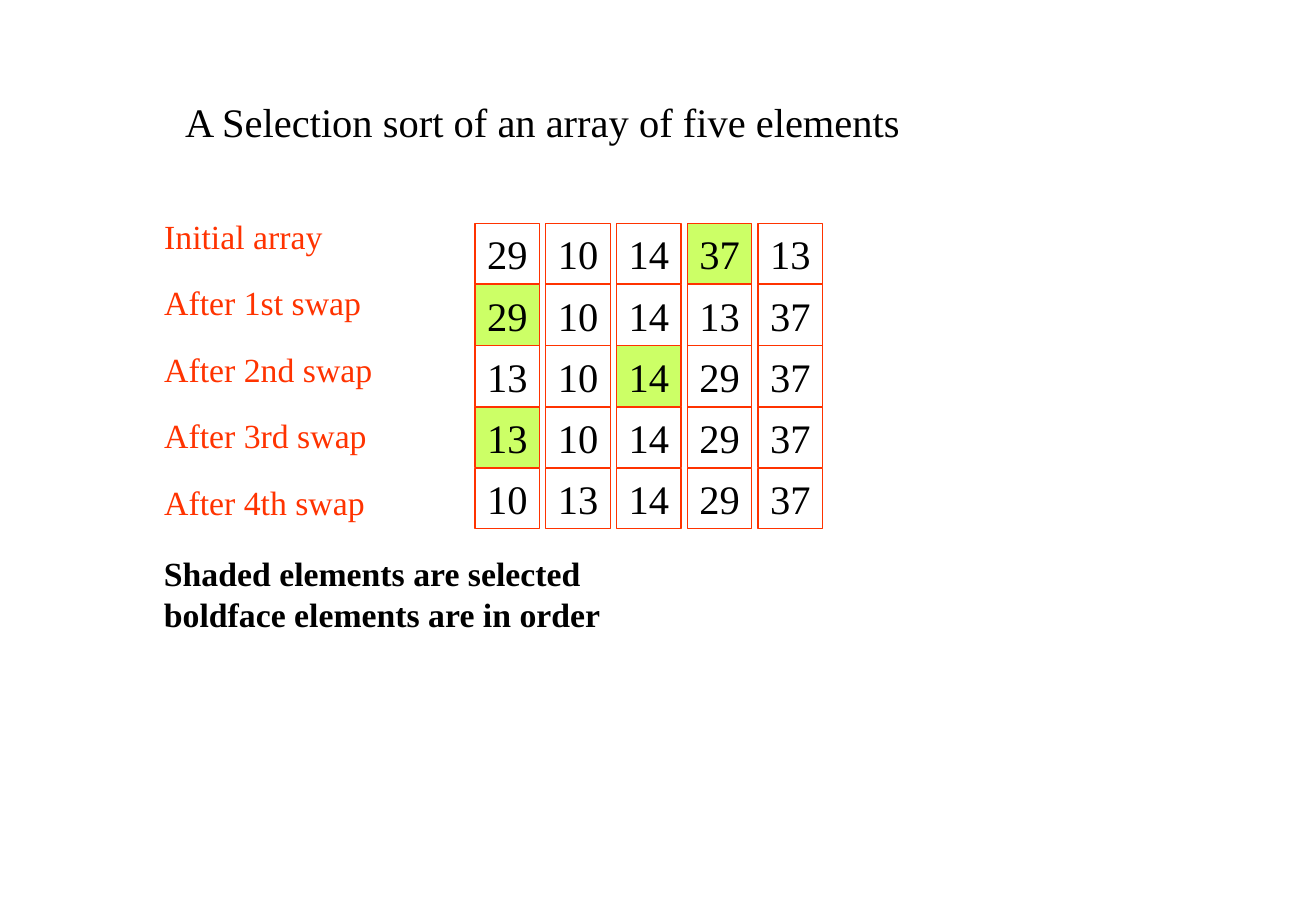
from pptx import Presentation
from pptx.dml.color import RGBColor
from pptx.enum.shapes import MSO_SHAPE as Shape
from pptx.enum.text import MSO_ANCHOR as Anchor, MSO_AUTO_SIZE as AutoSize, PP_ALIGN as Align
from pptx.oxml.ns import qn
from pptx.util import Cm, Pt
from lxml.etree import SubElement

COLORS = {"ink": "000000", "accent": "FF3300", "selected": "CCFF66"}
FONT = "Times New Roman"
STAGES = [
    ("Initial array", [29, 10, 14, 37, 13], 3),
    ("After 1st swap", [29, 10, 14, 13, 37], 0),
    ("After 2nd swap", [13, 10, 14, 29, 37], 2),
    ("After 3rd swap", [13, 10, 14, 29, 37], 0),
    ("After 4th swap", [10, 13, 14, 29, 37], None),
]
LEGEND = ["Shaded elements are selected", "boldface elements are in order"]
GRID_LEFT, GRID_TOP = 9.94, 4.67
COLUMN_STEP, ROW_STEP = 1.48, 1.28
CELL_WIDTH, CELL_HEIGHT = 1.35, 1.27


def rgb(name):
    """Return the named colour."""
    return RGBColor.from_string(COLORS[name])


def write(shape, lines, size=24, color="ink", bold=False, align=Align.LEFT, gap=0, wrap=True):
    """Fill a shape with one formatted, unbulleted paragraph per line."""
    frame = shape.text_frame
    frame.auto_size = AutoSize.NONE
    frame.word_wrap = wrap
    frame.vertical_anchor = Anchor.MIDDLE
    frame.text = "\n".join(lines)
    for index, paragraph in enumerate(frame.paragraphs):
        paragraph.alignment = align
        paragraph.space_before = Pt(gap if index else 0)
        if shape.is_placeholder:
            properties = paragraph._p.get_or_add_pPr()
            properties.set("marL", "0")
            properties.set("indent", "0")
            SubElement(properties, qn("a:buNone"))
        font = paragraph.font
        font.name, font.size, font.bold = FONT, Pt(size), bold
        font.color.rgb = rgb(color)


def place(shape, left, top, width, height):
    """Move and size a placeholder in centimetres."""
    shape.left, shape.top = Cm(left), Cm(top)
    shape.width, shape.height = Cm(width), Cm(height)


def add_cell(slide, row, column, value, selected):
    """Draw one array element at its grid position."""
    cell = slide.shapes.add_shape(
        Shape.RECTANGLE,
        Cm(GRID_LEFT + column * COLUMN_STEP), Cm(GRID_TOP + row * ROW_STEP),
        Cm(CELL_WIDTH), Cm(CELL_HEIGHT))
    cell.shadow.inherit = False
    if selected:
        cell.fill.solid()
        cell.fill.fore_color.rgb = rgb("selected")
    else:
        cell.fill.background()
    cell.line.color.rgb = rgb("accent")
    cell.line.width = Pt(0.75)
    write(cell, [str(value)], align=Align.CENTER, wrap=False)


def main():
    """Build and save the selection sort slide."""
    deck = Presentation()
    deck.slide_width, deck.slide_height = Cm(27.53), Cm(19.05)
    slide = deck.slides.add_slide(deck.slide_layouts[1])

    title, stage_names = slide.placeholders
    place(title, 3.6, 1.9, 15.5, 1.27)
    write(title, ["A Selection sort of an array of five elements"],
          align=Align.CENTER, wrap=False)
    place(stage_names, 3.18, 4.45, 5.95, 6.53)
    write(stage_names, [name for name, _, _ in STAGES], size=20, color="accent", gap=15.4)

    for row, (_, values, selected) in enumerate(STAGES):
        for column, value in enumerate(values):
            add_cell(slide, row, column, value, column == selected)

    legend = slide.shapes.add_textbox(Cm(3.18), Cm(11.43), Cm(10.16), Cm(1.96))
    write(legend, LEGEND, size=20, bold=True)

    deck.save("out.pptx")


if __name__ == "__main__":
    main()
